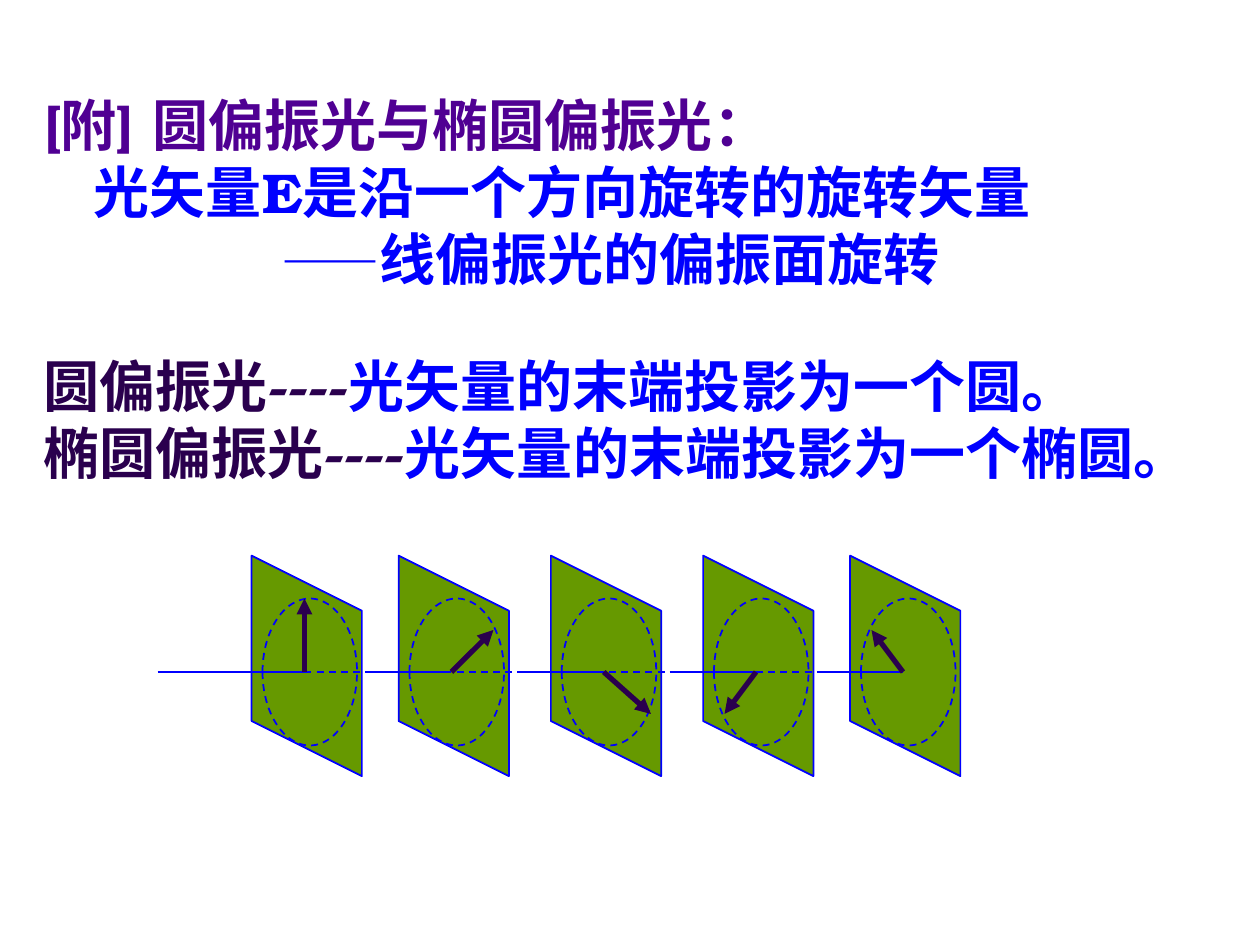
from dataclasses import dataclass

from lxml import etree
from pptx import Presentation
from pptx.dml.color import RGBColor
from pptx.enum.dml import MSO_LINE
from pptx.enum.shapes import MSO_CONNECTOR, MSO_SHAPE
from pptx.enum.text import MSO_ANCHOR, MSO_AUTO_SIZE, PP_ALIGN
from pptx.oxml.ns import qn
from pptx.util import Pt

STRAIGHT = MSO_CONNECTOR.STRAIGHT
PARALLELOGRAM = MSO_SHAPE.PARALLELOGRAM
ELLIPSE = MSO_SHAPE.OVAL
DASH = MSO_LINE.DASH
TITLE_ONLY = 5


@dataclass(frozen=True)
class Theme:
    font: str = "TeX Gyre Bonum"
    heading: RGBColor = RGBColor(0x50, 0x00, 0x93)
    blue: RGBColor = RGBColor(0x00, 0x00, 0xFF)
    dark: RGBColor = RGBColor(0x2A, 0x00, 0x4E)
    green: RGBColor = RGBColor(0x66, 0x99, 0x00)
    text_size: int = 32
    dash_size: int = 28
    thin: int = 1
    thick: int = 3


THEME = Theme()
AXIS_Y = 384
PLANE_CENTER_Y = 380.5
PLANE_OFFSET_X = 1.3
PLANE_LENGTH = 126
PLANE_WIDTH = 63
HIDDEN_AXIS_LENGTH = 36

# origin x, axis start x, arrow offset
STAGES = (
    (174, 90, (0, -42)),
    (258, 210, (24, -24)),
    (345, 297, (27, 24)),
    (432, 384, (-18, 24)),
    (516, 468, (-18, -24)),
)

# first-line indent, space before, runs
BODY = (
    (28.6, 0, (("光矢量E是沿一个方向旋转的旋转矢量", THEME.blue, THEME.text_size),)),
    (136, 0, (("——", THEME.blue, THEME.dash_size),
              ("线偏振光的偏振面旋转", THEME.blue, THEME.text_size))),
    (0, 34, (("圆偏振光----", THEME.dark, THEME.text_size),
             ("光矢量的末端投影为一个圆。", THEME.blue, THEME.text_size))),
    (0, 0, (("椭圆偏振光----", THEME.dark, THEME.text_size),
            ("光矢量的末端投影为一个椭圆。", THEME.blue, THEME.text_size))),
)


def format_run(run, color, size):
    run.font.name = THEME.font
    run.font.size = Pt(size)
    run.font.bold = True
    run.font.color.rgb = color


def place_text_frame(shape, left, top, width, height):
    shape.left, shape.top, shape.width, shape.height = map(Pt, (left, top, width, height))
    text_frame = shape.text_frame
    text_frame.word_wrap = True
    text_frame.auto_size = MSO_AUTO_SIZE.NONE
    text_frame.vertical_anchor = MSO_ANCHOR.TOP
    return text_frame


def set_title(slide):
    text_frame = place_text_frame(slide.shapes.title, 18, 48, 678, 46)
    text_frame.text = "[附] 圆偏振光与椭圆偏振光："
    paragraph = text_frame.paragraphs[0]
    paragraph.alignment = PP_ALIGN.LEFT
    format_run(paragraph.runs[0], THEME.heading, THEME.text_size)


def add_body(slide):
    text_box = slide.shapes.add_textbox(0, 0, 0, 0)
    text_frame = place_text_frame(text_box, 18, 86.5, 678, 233)
    for index, (indent, space_before, runs) in enumerate(BODY):
        paragraph = text_frame.add_paragraph() if index else text_frame.paragraphs[0]
        properties = paragraph._p.get_or_add_pPr()
        properties.set("marL", "0")
        properties.set("indent", str(int(Pt(indent))))
        if space_before:
            paragraph.space_before = Pt(space_before)
        for text, color, size in runs:
            run = paragraph.add_run()
            run.text = text
            format_run(run, color, size)


def add_outlined_shape(group, kind, left, top, width, height, fill=None, dash=None):
    shape = group.shapes.add_shape(kind, Pt(left), Pt(top), Pt(width), Pt(height))
    shape.shadow.inherit = False
    if fill is None:
        shape.fill.background()
    else:
        shape.fill.solid()
        shape.fill.fore_color.rgb = fill
    shape.line.color.rgb = THEME.blue
    shape.line.width = Pt(THEME.thin)
    shape.line.dash_style = dash
    return shape


def add_line(group, start, end, color=THEME.blue, width=THEME.thin, dash=None, arrow=False):
    line = group.shapes.add_connector(STRAIGHT, *map(Pt, (*start, *end)))
    line.line.color.rgb = color
    line.line.width = Pt(width)
    line.line.dash_style = dash
    properties = line._element.spPr
    if arrow:
        etree.SubElement(properties.find(qn("a:ln")), qn("a:tailEnd"), type="triangle")
    etree.SubElement(properties, qn("a:effectLst"))


def add_plane(group, origin_x):
    plane = add_outlined_shape(
        group, PARALLELOGRAM,
        origin_x + PLANE_OFFSET_X - PLANE_LENGTH / 2, PLANE_CENTER_Y - PLANE_WIDTH / 2,
        PLANE_LENGTH, PLANE_WIDTH, fill=THEME.green)
    plane.adjustments[0] = 0.5
    plane.rotation = 90
    add_outlined_shape(group, ELLIPSE, origin_x - 24, AXIS_Y - 42, 54, 84, dash=DASH)


def add_diagram(slide):
    group = slide.shapes.add_group_shape()
    for index, (origin_x, start_x, (offset_x, offset_y)) in enumerate(STAGES):
        origin = (origin_x, AXIS_Y)
        add_plane(group, origin_x)
        add_line(group, (start_x, AXIS_Y), origin)
        if index + 1 < len(STAGES):
            next_start = STAGES[index + 1][1]
            add_line(group, (next_start - HIDDEN_AXIS_LENGTH, AXIS_Y),
                     (next_start, AXIS_Y), dash=DASH)
        add_line(group, origin, (origin_x + offset_x, AXIS_Y + offset_y),
                 color=THEME.dark, width=THEME.thick, arrow=True)


def main():
    presentation = Presentation()
    presentation.slide_width = Pt(720)
    presentation.slide_height = Pt(540)
    slide = presentation.slides.add_slide(presentation.slide_layouts[TITLE_ONLY])
    set_title(slide)
    add_body(slide)
    add_diagram(slide)
    presentation.save("out.pptx")


if __name__ == "__main__":
    main()
